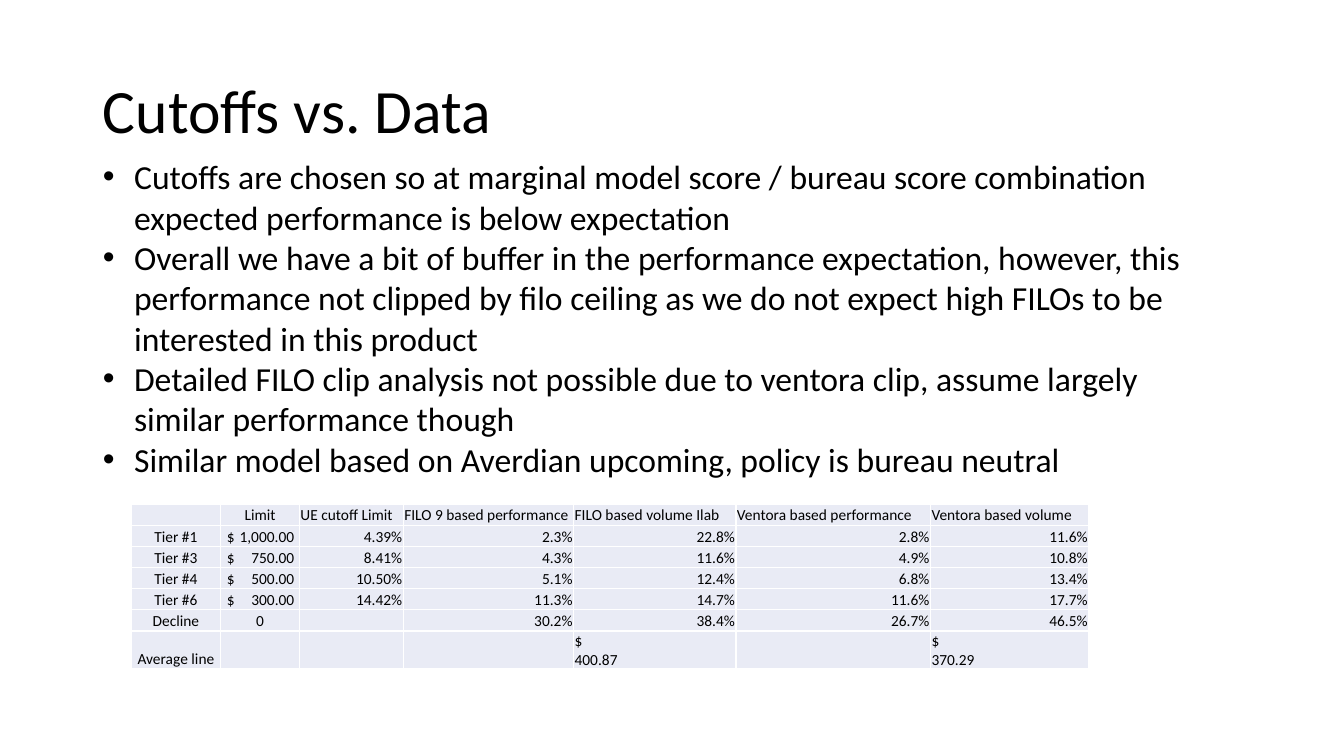
from lxml.etree import SubElement
from pptx import Presentation
from pptx.dml.color import RGBColor
from pptx.enum.text import MSO_ANCHOR, MSO_AUTO_SIZE, PP_ALIGN
from pptx.oxml.ns import qn
from pptx.util import Inches, Pt

BLACK = RGBColor(0x00, 0x00, 0x00)
WHITE = RGBColor(0xFF, 0xFF, 0xFF)
PALE_BLUE = RGBColor(0xE9, 0xEB, 0xF5)

CUTOFF_NOTES = [
    "Cutoffs are chosen so at marginal model score / bureau score combination "
    "expected performance is below expectation",
    "Overall we have a bit of buffer in the performance expectation, however, this "
    "performance not clipped by filo ceiling as we do not expect high FILOs to be "
    "interested in this product",
    "Detailed FILO clip analysis not possible due to ventora clip, assume largely "
    "similar performance though",
    "Similar model based on Averdian upcoming, policy is bureau neutral",
]

COLUMN_WIDTHS = [0.89, 0.78, 1.03, 1.69, 1.61, 1.93, 1.57]
TIER_ROWS = [
    ["", "Limit", "UE cutoff Limit", "FILO 9 based performance",
     "FILO based volume Ilab", "Ventora based performance", "Ventora based volume"],
    ["Tier #1", "$\t1,000.00", "4.39%", "2.3%", "22.8%", "2.8%", "11.6%"],
    ["Tier #3", "$\t750.00", "8.41%", "4.3%", "11.6%", "4.9%", "10.8%"],
    ["Tier #4", "$\t500.00", "10.50%", "5.1%", "12.4%", "6.8%", "13.4%"],
    ["Tier #6", "$\t300.00", "14.42%", "11.3%", "14.7%", "11.6%", "17.7%"],
    ["Decline", "0", "", "30.2%", "38.4%", "26.7%", "46.5%"],
    ["Average line", "", "", "", "$\n400.87", "", "$\n370.29"],
]


class CutoffSlide:
    font_name = "Calibri"

    def __init__(self, presentation):
        self.slide = presentation.slides.add_slide(presentation.slide_layouts[1])

    def place(self, shape, left, top, width, height):
        shape.left, shape.top = Inches(left), Inches(top)
        shape.width, shape.height = Inches(width), Inches(height)

    def style_runs(self, paragraph, size):
        for run in paragraph.runs:
            run.font.name = self.font_name
            run.font.size = Pt(size)
            run.font.color.rgb = BLACK

    def title(self, text, box):
        heading = self.slide.shapes.title
        self.place(heading, *box)
        heading.text_frame.text = text
        heading.text_frame.vertical_anchor = MSO_ANCHOR.MIDDLE
        paragraph = heading.text_frame.paragraphs[0]
        paragraph.alignment = PP_ALIGN.LEFT
        paragraph.line_spacing = 0.9
        self.style_runs(paragraph, 44)

    def bullets(self, items, box):
        notes = self.slide.placeholders[1]
        self.place(notes, *box)
        notes.text_frame.text = "\n".join(items)
        notes.text_frame.auto_size = MSO_AUTO_SIZE.SHAPE_TO_FIT_TEXT
        for paragraph in notes.text_frame.paragraphs:
            paragraph.space_before = Pt(0)
            properties = paragraph._p.get_or_add_pPr()
            properties.set("marL", str(Inches(0.31)))
            properties.set("indent", str(-Inches(0.31)))
            SubElement(properties, qn("a:buChar")).set("char", "•")
            self.style_runs(paragraph, 24)

    def table(self, rows, widths, left, top, row_height):
        tiers = self.slide.shapes.add_table(
            len(rows), len(widths), Inches(left), Inches(top),
            Inches(sum(widths)), Inches(row_height * len(rows))).table
        tiers.first_row = False
        tiers.horz_banding = False
        for column, width in zip(tiers.columns, widths):
            column.width = Inches(width)
        for row_index, values in enumerate(rows):
            tiers.rows[row_index].height = Inches(row_height)
            for column_index, value in enumerate(values):
                if column_index < 2 and "\t" not in value:
                    alignment = PP_ALIGN.CENTER
                elif value.endswith("%"):
                    alignment = PP_ALIGN.RIGHT
                else:
                    alignment = PP_ALIGN.LEFT
                self.cell(tiers.cell(row_index, column_index), value, alignment)

    def cell(self, cell, value, alignment):
        cell.margin_left = Inches(0.06 if "\t" in value else 0.01)
        cell.margin_right = cell.margin_top = Inches(0.01)
        cell.margin_bottom = 0
        cell.vertical_anchor = MSO_ANCHOR.BOTTOM
        self.borders(cell)
        cell.fill.solid()
        cell.fill.fore_color.rgb = PALE_BLUE
        cell.text_frame.text = value
        for paragraph in cell.text_frame.paragraphs:
            paragraph.alignment = alignment
            self.style_runs(paragraph, 11)
            if "\t" in value:
                stops = SubElement(paragraph._p.get_or_add_pPr(), qn("a:tabLst"))
                stop = SubElement(stops, qn("a:tab"))
                stop.set("pos", str(Inches(0.67)))
                stop.set("algn", "r")
            if not value:
                SubElement(paragraph._p, qn("a:endParaRPr")).set("sz", "1100")

    def borders(self, cell):
        properties = cell._tc.get_or_add_tcPr()
        for side in ("lnL", "lnR", "lnT", "lnB"):
            line = SubElement(properties, qn(f"a:{side}"))
            line.set("w", str(Pt(1)))
            fill = SubElement(line, qn("a:solidFill"))
            SubElement(fill, qn("a:srgbClr")).set("val", str(WHITE))


def main():
    presentation = Presentation()
    presentation.slide_width = Inches(13.33)
    presentation.slide_height = Inches(7.5)
    slide = CutoffSlide(presentation)
    slide.title("Cutoffs vs. Data", (0.92, 0.4, 11.5, 1.45))
    slide.table(TIER_ROWS, COLUMN_WIDTHS, left=1.3, top=5, row_height=0.21)
    slide.bullets(CUTOFF_NOTES, (0.92, 1.5, 11.18, 3.74))
    presentation.save("out.pptx")


if __name__ == "__main__":
    main()
